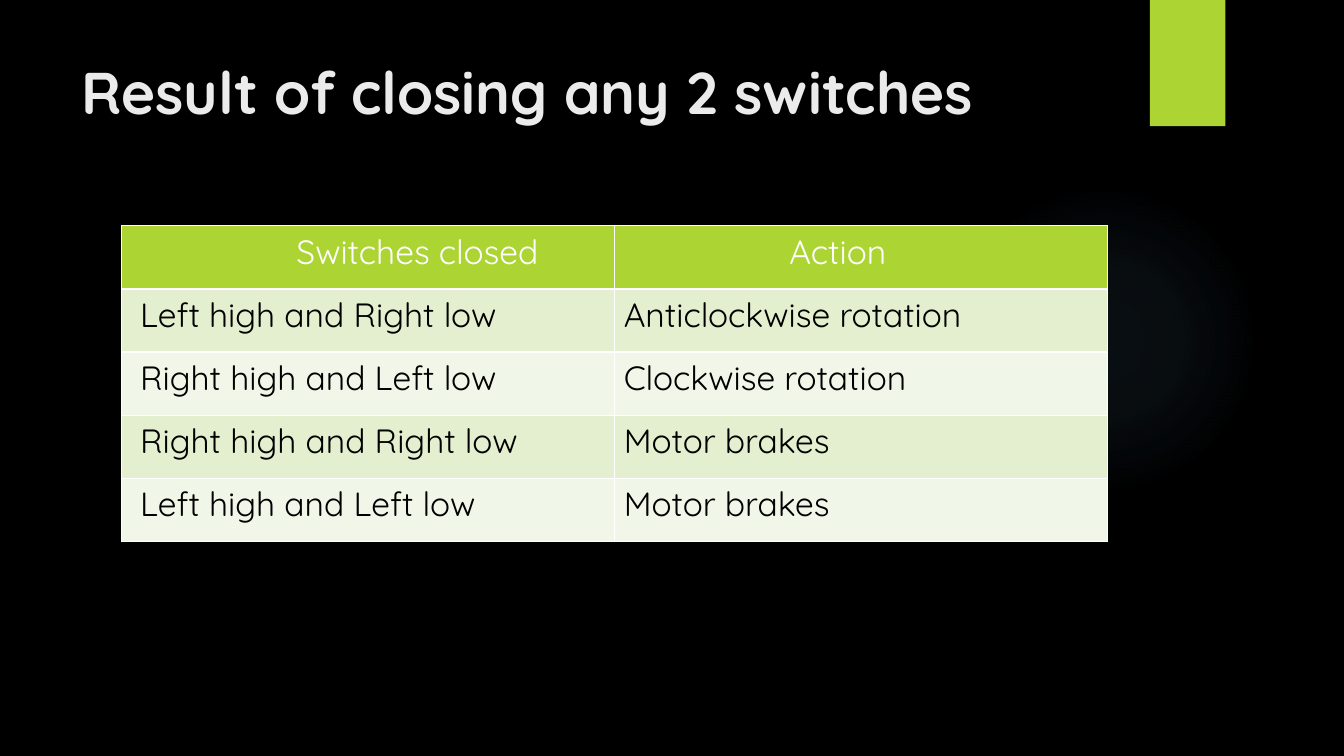
from lxml.etree import SubElement
from pptx import Presentation
from pptx.dml.color import RGBColor
from pptx.enum.shapes import MSO_SHAPE
from pptx.enum.text import MSO_ANCHOR
from pptx.oxml import parse_xml
from pptx.oxml.ns import nsdecls, qn
from pptx.util import Cm, Pt

TITLE = "Result of closing any 2 switches"
ROWS = [
    ("Switches closed", "Action"),
    ("Left high and Right low", "Anticlockwise rotation"),
    ("Right high and Left low", "Clockwise rotation"),
    ("Right high and Right low", "Motor brakes"),
    ("Left high and Left low", "Motor brakes"),
]
COLORS = {
    "background": "000000", "title": "EBEBEB", "accent": "ACD433",
    "glow": "7AC4F0", "odd": "E3EFCE", "even": "F1F7E8",
    "border": "FFFFFF", "header": "FFFFFF", "body": "000000",
}
FONT = "Quicksand"
GLOW_STOPS = [(0, 7), (36, 6), (69, 0)]  # position and opacity, percent
COLUMN_WIDTH, ROW_HEIGHT = 12.42, 1.59
HEADER_INDENT, FIRST_INDENT, PLAIN_INDENT = 4.4, 0.46, 0.23


def color(name):
    """Return the named palette colour."""
    return RGBColor.from_string(COLORS[name])


def write(frame, text, size, ink, bold=False):
    """Put one formatted line of text into a text frame."""
    span = frame.paragraphs[0].add_run()
    span.text = text
    span.font.name = FONT
    span.font.size = Pt(size)
    span.font.bold = bold
    span.font.color.rgb = color(ink)


def add_plain_shape(page, kind, left, top, width, height, fill=None):
    """Add a shape without line or shadow, filled if a colour is given."""
    shape = page.shapes.add_shape(kind, Cm(left), Cm(top), Cm(width), Cm(height))
    shape.shadow.inherit = False
    shape.line.fill.background()
    if fill:
        shape.fill.solid()
        shape.fill.fore_color.rgb = color(fill)
    else:
        shape.fill.background()
    return shape


def add_glow(shape):
    """Give an unfilled shape a soft radial gradient."""
    stops = "".join(
        f'<a:gs pos="{place * 1000}"><a:srgbClr val="{COLORS["glow"]}">'
        f'<a:alpha val="{opacity * 1000}"/></a:srgbClr></a:gs>'
        for place, opacity in GLOW_STOPS
    )
    gradient = parse_xml(
        f'<a:gradFill {nsdecls("a")} rotWithShape="1"><a:gsLst>{stops}</a:gsLst>'
        '<a:path path="circle"><a:fillToRect l="50000" t="50000" r="50000" b="50000"/>'
        "</a:path></a:gradFill>"
    )
    properties = shape.element.spPr
    properties.replace(properties.find(qn("a:noFill")), gradient)


def add_borders(cell):
    """Draw a thin line on every side of a cell."""
    properties = cell._tc.get_or_add_tcPr()
    for side in ("lnL", "lnR", "lnT", "lnB"):
        line = SubElement(properties, qn(f"a:{side}"), w=str(Pt(1)))
        fill = SubElement(line, qn("a:solidFill"))
        SubElement(fill, qn("a:srgbClr"), val=COLORS["border"])


def add_title(page):
    """Add the slide heading."""
    box = page.shapes.add_textbox(Cm(1.8), Cm(1.27), Cm(26.14), Cm(3.89))
    box.text_frame.word_wrap = True
    box.text_frame.vertical_anchor = MSO_ANCHOR.TOP
    write(box.text_frame, TITLE, 42, "title", bold=True)


def add_switch_table(page):
    """Add the table of switch pairs and their actions."""
    count = len(ROWS[0])
    table = page.shapes.add_table(
        len(ROWS), count, Cm(3.07), Cm(5.69),
        Cm(COLUMN_WIDTH * count), Cm(ROW_HEIGHT * len(ROWS)),
    ).table
    for column in table.columns:
        column.width = Cm(COLUMN_WIDTH)
    for row_index, texts in enumerate(ROWS):
        table.rows[row_index].height = Cm(ROW_HEIGHT)
        is_header = row_index == 0
        band = "accent" if is_header else ("even", "odd")[row_index % 2]
        for column_index, text in enumerate(texts):
            cell = table.cell(row_index, column_index)
            body_indent = PLAIN_INDENT if column_index else FIRST_INDENT
            cell.margin_left = Cm(HEADER_INDENT if is_header else body_indent)
            cell.margin_right = Cm(PLAIN_INDENT)
            cell.margin_top = cell.margin_bottom = Cm(0.13)
            add_borders(cell)
            cell.fill.solid()
            cell.fill.fore_color.rgb = color(band)
            write(cell.text_frame, text, 24, "header" if is_header else "body")


deck = Presentation()
deck.slide_width, deck.slide_height = Cm(33.87), Cm(19.05)
page = deck.slides.add_slide(deck.slide_layouts[6])
page.background.fill.solid()
page.background.fill.fore_color.rgb = color("background")

add_glow(add_plain_shape(page, MSO_SHAPE.OVAL, 23.9, 4.65, 7.82, 7.82))
add_plain_shape(page, MSO_SHAPE.RECTANGLE, 28.98, 0, 1.9, 3.18, fill="accent")
add_title(page)
add_switch_table(page)
deck.save("out.pptx")
